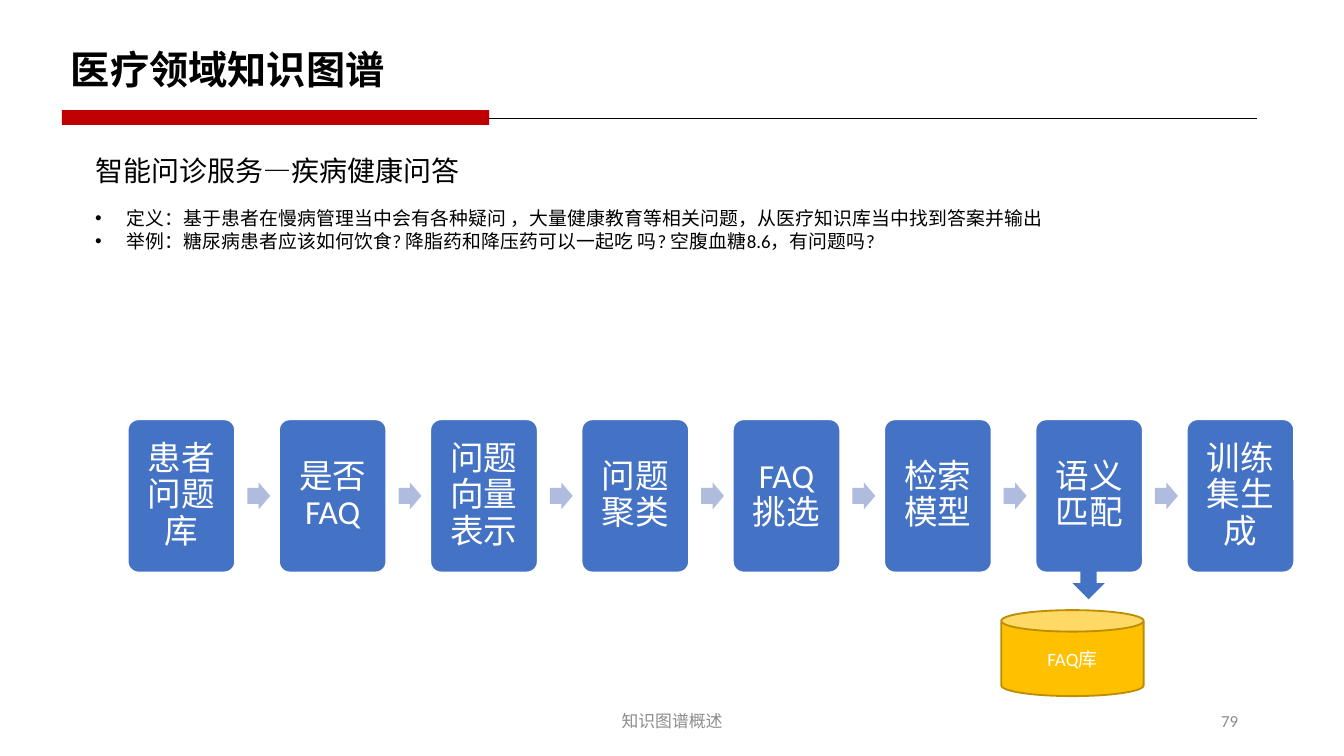
from lxml.etree import SubElement
from pptx import Presentation
from pptx.dml.color import RGBColor
from pptx.enum.shapes import MSO_CONNECTOR, MSO_SHAPE
from pptx.enum.text import MSO_ANCHOR, MSO_AUTO_SIZE, PP_ALIGN
from pptx.oxml.ns import qn
from pptx.util import Inches, Pt

BLACK = RGBColor(0x00, 0x00, 0x00)
WHITE = RGBColor(0xFF, 0xFF, 0xFF)
RED = RGBColor(0xC0, 0x00, 0x00)
BLUE = RGBColor(0x44, 0x72, 0xC4)
PALE_BLUE = RGBColor(0xB0, 0xBC, 0xDE)
GOLD = RGBColor(0xFF, 0xC0, 0x00)
DARK_GOLD = RGBColor(0xBD, 0x8E, 0x00)
GREY = RGBColor(0x8C, 0x8C, 0x8C)
LATIN, CJK = "Calibri", "Noto Sans CJK SC"
SMALL = 10.13

# Content
TITLE = [("医疗领域", LATIN), ("知识图谱", CJK)]
SUBTITLE = "智能问诊服务—疾病健康问答"
BULLETS = [
    "定义：基于患者在慢病管理当中会有各种疑问 ，大量健康教育等相关问题，从医疗知识库当中找到答案并输出",
    "举例：糖尿病患者应该如何饮食? 降脂药和降压药可以一起吃 吗? 空腹血糖8.6，有问题吗?",
]
STEPS = ["患者问题库", "是否FAQ", "问题向量表示", "问题聚类",
         "FAQ挑选", "检索模型", "语义匹配", "训练集生成"]
STORE = "FAQ库"
FOOTER, PAGE = "知识图谱概述", "79"

# Flow layout
STEP_LEFT, STEP_RIGHT, STEP_TOP, STEP_W, STEP_H = 0.95, 9.63, 3.12, 0.8, 1.14
PITCH = (STEP_RIGHT - STEP_W - STEP_LEFT) / (len(STEPS) - 1)
ARROW_W, ARROW_H, ARROW_OFFSET = 0.17, 0.2, 0.89

# A 16:9 slide
prs = Presentation()
prs.slide_width = Inches(10)
prs.slide_height = prs.slide_width * 9 // 16
s = prs.slides.add_slide(prs.slide_layouts[6])


def add_run(p, text, size, color, font=LATIN, bold=False):
    r = p.add_run()
    r.text = text
    r.font.size, r.font.name, r.font.bold = Pt(size), font, bold
    r.font.color.rgb = color


def add_box(x, y, w, h, wrap=True):
    tf = s.shapes.add_textbox(Inches(x), Inches(y), Inches(w), Inches(h)).text_frame
    tf.word_wrap = wrap
    if not wrap:
        tf.auto_size = MSO_AUTO_SIZE.SHAPE_TO_FIT_TEXT
    return tf


def add_shape(kind, x, y, w, h, fill, line=None, adjust=()):
    sp = s.shapes.add_shape(kind, Inches(x), Inches(y), Inches(w), Inches(h))
    sp.shadow.inherit = False
    sp.fill.solid()
    sp.fill.fore_color.rgb = fill
    if line is None:
        sp.line.fill.background()
    else:
        sp.line.color.rgb = line
        sp.line.width = Pt(1)
    for i, value in enumerate(adjust):
        sp.adjustments[i] = value
    return sp


def add_label(tf, text, size, color, align=PP_ALIGN.CENTER):
    tf.vertical_anchor = MSO_ANCHOR.MIDDLE
    p = tf.paragraphs[0]
    p.alignment = align
    add_run(p, text, size, color)
    return p


# Title and rule
p = add_box(0.43, 0.29, 2.56, 0.45, wrap=False).paragraphs[0]
for text, font in TITLE:
    add_run(p, text, 21, BLACK, font, bold=True)
rule = s.shapes.add_connector(MSO_CONNECTOR.STRAIGHT, Inches(0.46), Inches(0.88),
                              Inches(9.35), Inches(0.88))
rule.line.color.rgb = BLACK
rule.line.width = Pt(0.5)
SubElement(rule._element.spPr, qn("a:effectLst"))
add_shape(MSO_SHAPE.RECTANGLE, 0.46, 0.82, 3.18, 0.11, RED)

# Subtitle and bullets
p = add_box(0.61, 1.09, 2.94, 0.35, wrap=False).paragraphs[0]
add_run(p, SUBTITLE, 15, BLACK, CJK)
tf = add_box(0.61, 1.49, 7.33, 0.61, wrap=False)
for i, text in enumerate(BULLETS):
    p = tf.add_paragraph() if i else tf.paragraphs[0]
    pPr = p._p.get_or_add_pPr()
    pPr.set("marL", str(Inches(0.23)))
    pPr.set("indent", str(-Inches(0.23)))
    SubElement(pPr, qn("a:buFont")).set("typeface", "Arial")
    SubElement(pPr, qn("a:buChar")).set("char", "•")
    add_run(p, text, SMALL, BLACK)

# Process steps, with an arrow between neighbours
for i, step in enumerate(STEPS):
    x = STEP_LEFT + i * PITCH
    sp = add_shape(MSO_SHAPE.ROUNDED_RECTANGLE, x, STEP_TOP, STEP_W, STEP_H,
                   BLUE, WHITE, [0.1])
    tf = sp.text_frame
    tf.margin_left = tf.margin_right = tf.margin_top = tf.margin_bottom = Inches(0.07)
    add_label(tf, step, 18, WHITE).line_spacing = 0.9
    if i < len(STEPS) - 1:
        add_shape(MSO_SHAPE.RIGHT_ARROW, x + ARROW_OFFSET,
                  STEP_TOP + (STEP_H - ARROW_H) / 2, ARROW_W, ARROW_H,
                  PALE_BLUE, adjust=[0.6, 0.5])

# FAQ store
add_shape(MSO_SHAPE.DOWN_ARROW, 7.98, 4.16, 0.24, 0.3, BLUE)
store = add_shape(MSO_SHAPE.CAN, 7.45, 4.54, 1.06, 0.64, GOLD, DARK_GOLD)
add_label(store.text_frame, STORE, SMALL, WHITE)

# Footer
add_label(add_box(3.31, 5.21, 3.38, 0.3), FOOTER, 9, GREY)
add_label(add_box(7.06, 5.21, 2.25, 0.3), PAGE, 9, GREY, PP_ALIGN.RIGHT)

prs.save("out.pptx")
